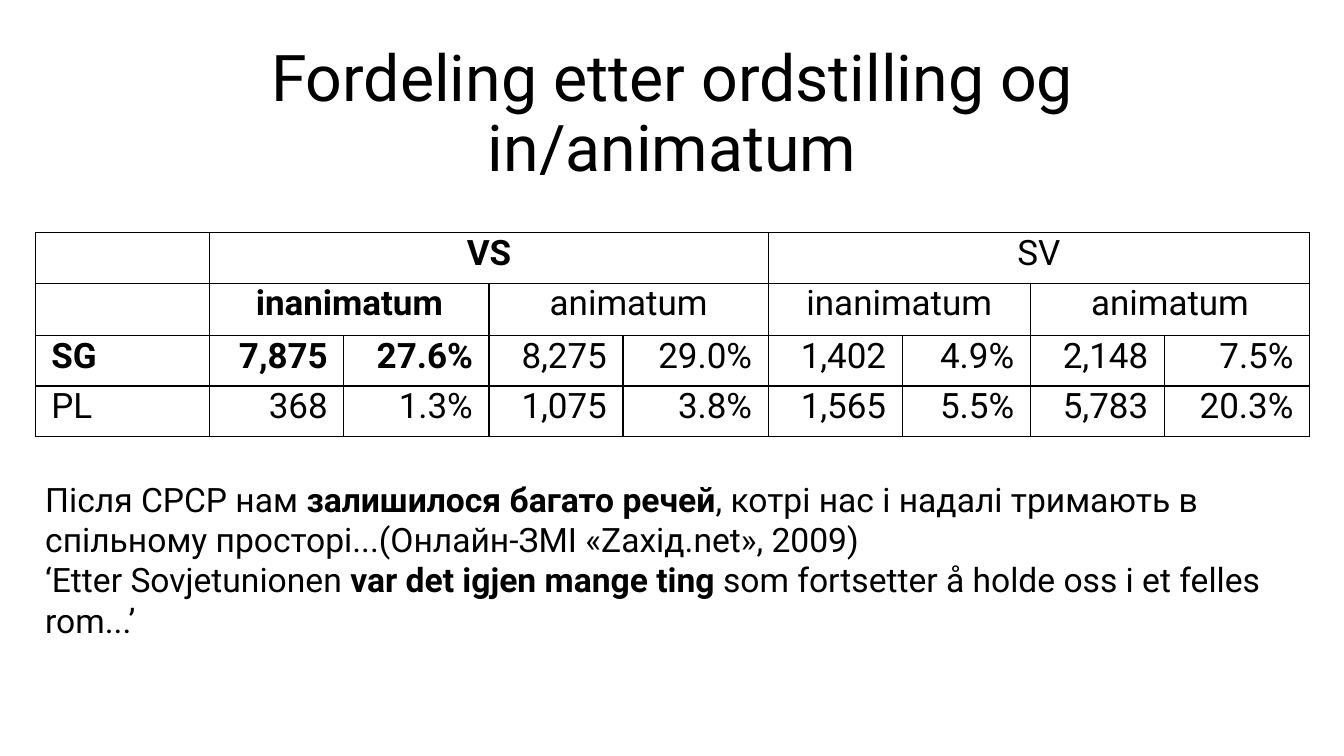
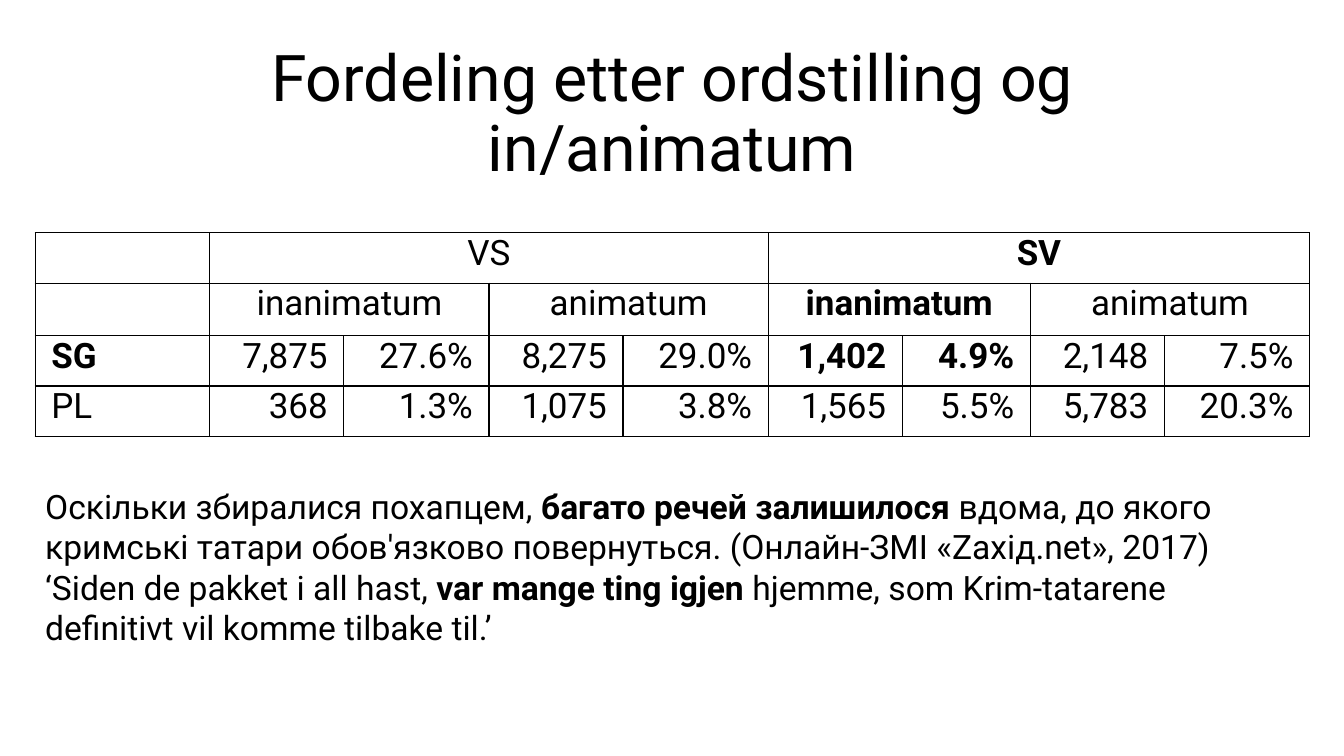
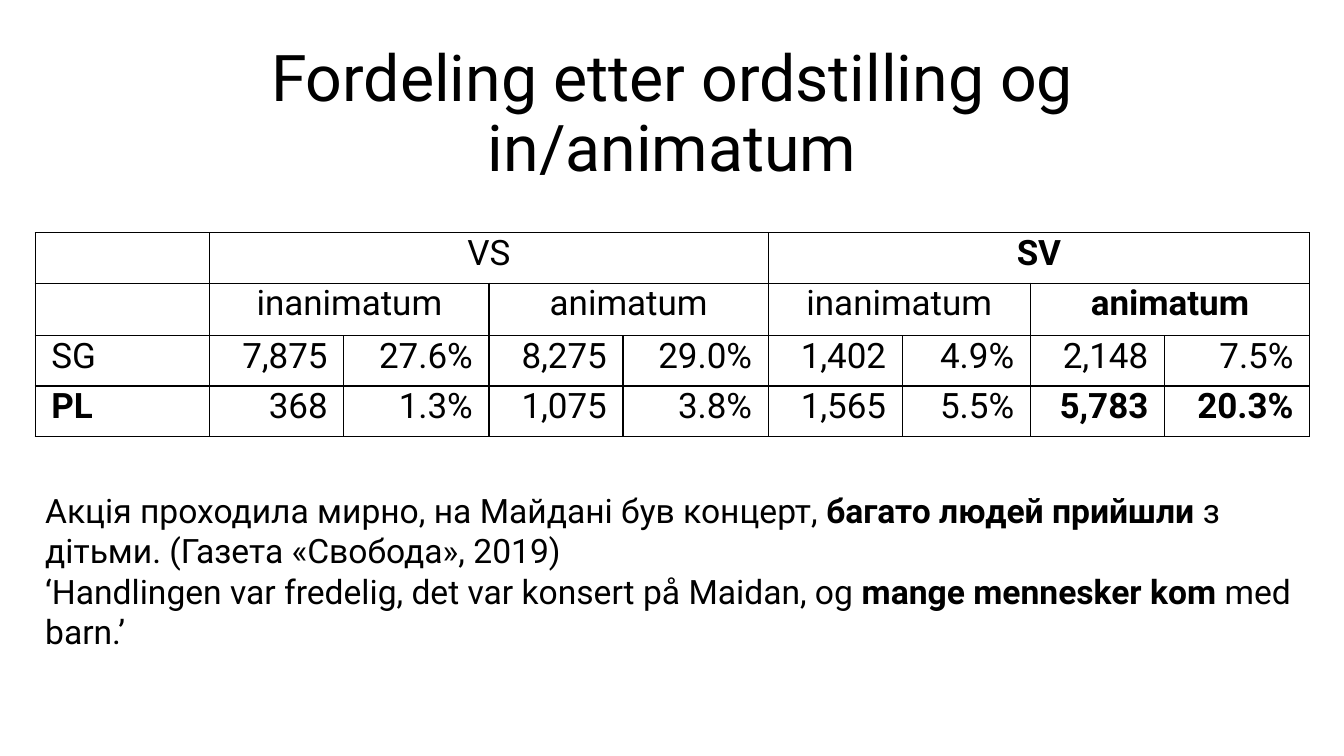
from lxml import etree
from pptx import Presentation
from pptx.dml.color import RGBColor
from pptx.enum import text
from pptx.oxml import ns
from pptx.util import Inches, Pt

BLACK = RGBColor(0x00, 0x00, 0x00)
FONT = "Roboto"
TITLE = "Fordeling etter ordstilling og in/animatum"
LEFT, WIDTH = 0.35, 12.63
COLS = [1.73, 1.33, 1.44, 1.33, 1.44, 1.33, 1.27, 1.33, 1.44]
ROWS = [0.5, 0.52, 0.5, 0.5]
LEFT_AL, CENTER, RIGHT = text.PP_ALIGN.LEFT, text.PP_ALIGN.CENTER, text.PP_ALIGN.RIGHT

# Table rows as (text, columns spanned)
HEADERS = [
    [("", 1), ("VS", 4), ("SV", 4)],
    [("", 1)] + [("inanimatum", 2), ("animatum", 2)] * 2,
]
VALUES = [
    ["SG", "7,875", "27.6%", "8,275", "29.0%", "1,402", "4.9%", "2,148", "7.5%"],
    ["PL", "368", "1.3%", "1,075", "3.8%", "1,565", "5.5%", "5,783", "20.3%"],
]
TABLE = HEADERS + [[(value, 1) for value in row] for row in VALUES]

# Per slide: bold row, first bold column, example top and height,
# then the example and its translation as plain, bold, plain runs
SLIDES = [
    (2, 1, 4.7, 2.02, [
        ("Після СРСР нам ", "залишилося багато речей",
         ", котрі нас і надалі тримають в спільному просторі...(Онлайн-ЗМІ «Zахід.net», 2009)"),
        ("‘Etter Sovjetunionen ", "var det igjen mange ting ",
         "som fortsetter å holde oss i et felles rom...’")]),
    (2, 5, 4.77, 1.72, [
        ("Оскільки збиралися похапцем, ", "багато речей залишилося ",
         "вдома, до якого кримські татари обов'язково повернуться. (Онлайн-ЗМІ «Zахід.net», 2017)"),
        ("‘Siden de pakket i all hast, ", "var mange ting igjen ",
         "hjemme, som Krim-tatarene definitivt vil komme tilbake til.’")]),
    (3, 7, 4.81, 1.72, [
        ("Акція проходила мирно, на Майдані був концерт, ", "багато людей прийшли ",
         "з дітьми. (Газета «Свобода», 2019)"),
        ("‘Handlingen var fredelig, det var konsert på Maidan, og ", "mange mennesker kom ",
         "med barn.’")]),
]


def add_run(p, words, size, bold=False):
    r = p.add_run()
    r.text = words
    r.font.name, r.font.size, r.font.bold = FONT, Pt(size), bold
    r.font.color.rgb = BLACK


def add_borders(cell):
    tc_pr = cell._tc.get_or_add_tcPr()
    for side in ("a:lnL", "a:lnR", "a:lnT", "a:lnB"):
        ln = etree.SubElement(tc_pr, ns.qn(side), w=str(Pt(1)))
        fill = etree.SubElement(ln, ns.qn("a:solidFill"))
        etree.SubElement(fill, ns.qn("a:srgbClr"), val=str(BLACK))


prs = Presentation()
prs.slide_width, prs.slide_height = Inches(13.33), Inches(7.5)

for bold_row, bold_col, top, height, example in SLIDES:
    s = prs.slides.add_slide(prs.slide_layouts[5])

    # Title
    sp = s.shapes.title
    sp.left, sp.top, sp.width, sp.height = [Inches(v) for v in (0.7, 0.46, 11.93, 1.37)]
    tf = sp.text_frame
    tf.auto_size = text.MSO_AUTO_SIZE.NONE
    tf.vertical_anchor = text.MSO_ANCHOR.MIDDLE
    p = tf.paragraphs[0]
    p.alignment, p.line_spacing = CENTER, 0.9
    add_run(p, TITLE, 46)

    # Table
    table = s.shapes.add_table(len(ROWS), len(COLS), Inches(LEFT), Inches(2.31),
                               Inches(WIDTH), Inches(sum(ROWS))).table
    table.first_row = table.horz_banding = False
    for col, w in zip(table.columns, COLS):
        col.width = Inches(w)
    for row, h in zip(table.rows, ROWS):
        row.height = Inches(h)
    for cell in table.iter_cells():
        add_borders(cell)
        cell.fill.background()
        cell.margin_left = cell.margin_right = Inches(0.16)
        cell.margin_top = cell.margin_bottom = 0
    for i, row in enumerate(TABLE):
        j = 0
        for words, span in row:
            cell = table.cell(i, j)
            if span > 1:
                cell.merge(table.cell(i, j + span - 1))
            if words:
                in_cols = j == 0 or (j < bold_col + 2 and bold_col < j + span)
                p = cell.text_frame.paragraphs[0]
                p.alignment = CENTER if span > 1 else RIGHT if j else LEFT_AL
                add_run(p, words, 25, in_cols and i in (0, 1, bold_row))
            j += span

    # Example and translation
    sp = s.shapes.add_textbox(Inches(LEFT), Inches(top), Inches(WIDTH), Inches(height))
    tf = sp.text_frame
    tf.word_wrap = True
    tf.auto_size = text.MSO_AUTO_SIZE.SHAPE_TO_FIT_TEXT
    for n, runs in enumerate(example):
        p = tf.add_paragraph() if n else tf.paragraphs[0]
        for k, words in enumerate(runs):
            add_run(p, words, 24, k == 1)

prs.save("out.pptx")
